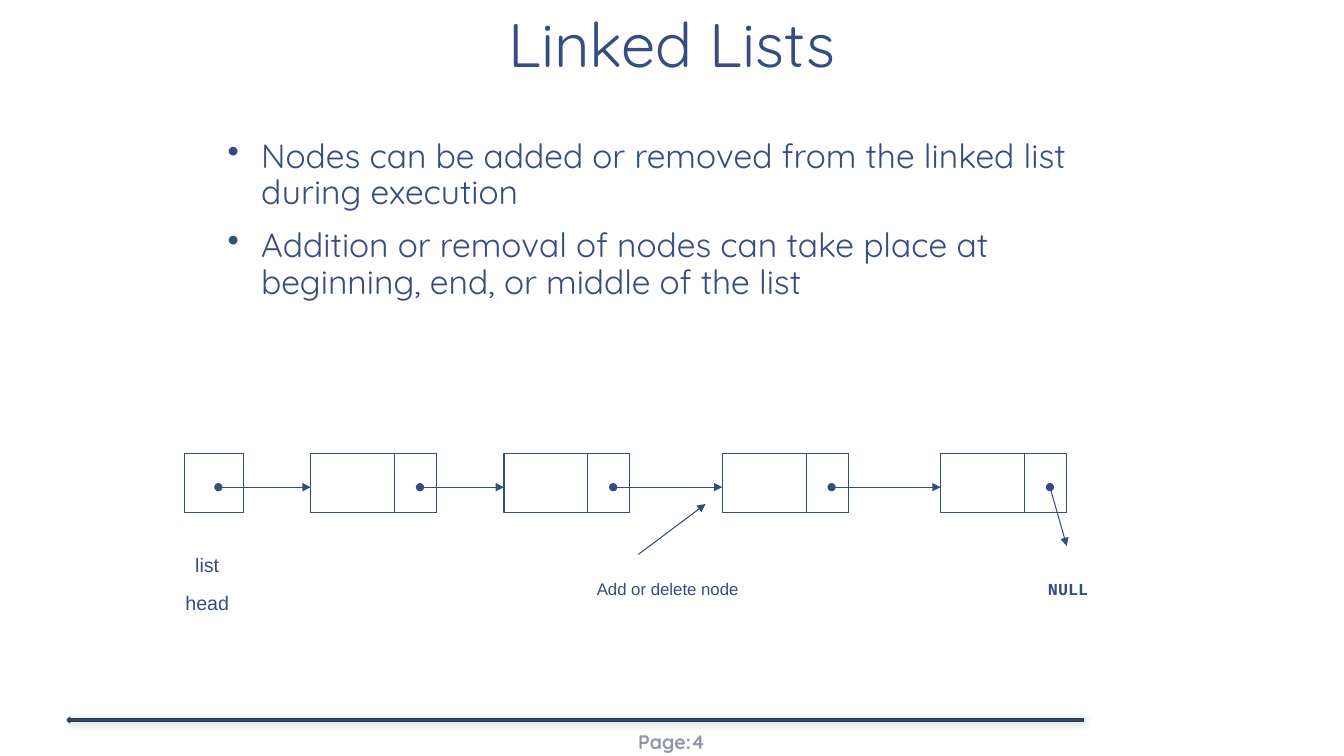
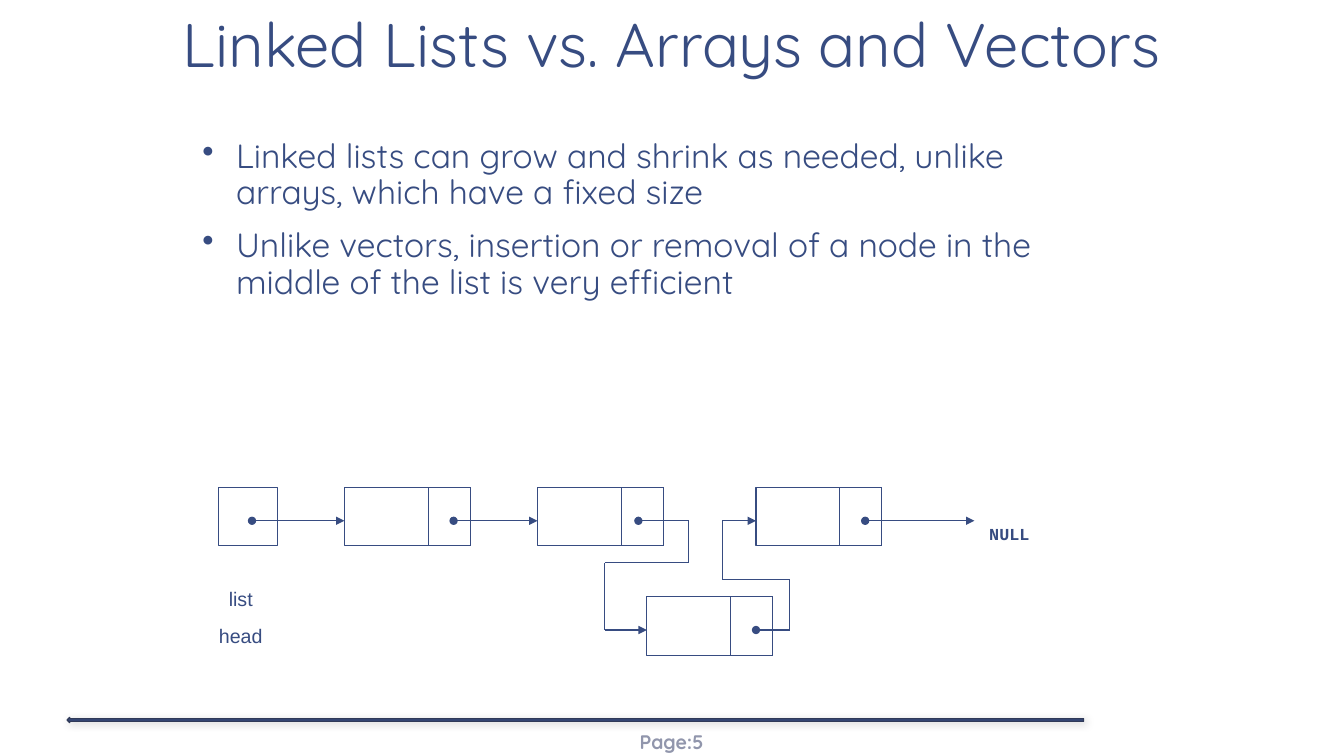
from itertools import pairwise

from lxml import etree
from pptx import Presentation
from pptx.dml.color import RGBColor
from pptx.enum.shapes import MSO_CONNECTOR, MSO_SHAPE
from pptx.enum.text import MSO_ANCHOR, PP_ALIGN
from pptx.oxml import parse_xml
from pptx.oxml.ns import nsdecls, qn
from pptx.util import Pt

STRAIGHT = MSO_CONNECTOR.STRAIGHT
RECTANGLE = MSO_SHAPE.RECTANGLE
LEFT_ARROW = MSO_SHAPE.LEFT_ARROW
LEFT, CENTER = PP_ALIGN.LEFT, PP_ALIGN.CENTER
TOP, MIDDLE, BOTTOM = MSO_ANCHOR.TOP, MSO_ANCHOR.MIDDLE, MSO_ANCHOR.BOTTOM

BLUE = RGBColor(0x37, 0x4C, 0x81)
NAVY = RGBColor(0x30, 0x3A, 0x58)
GRAY = RGBColor(0x91, 0x96, 0xAC)

NODE_WIDTH, NODE_HEIGHT = 90, 42
DATA_WIDTH = 60
POINTER_X, POINTER_Y = 78, 24

SHADOW = (
    f'<a:effectLst {nsdecls("a")}><a:outerShdw blurRad="76200" dist="12700" '
    'dir="2700000"><a:srgbClr val="000000"><a:alpha val="20000"/></a:srgbClr>'
    '</a:outerShdw></a:effectLst>'
)

SLIDES = [
    {
        "page": 4,
        "title": "Linked Lists",
        "body": (155.5, 624),
        "bullets": [
            "Nodes can be added or removed from the linked list during execution",
            "Addition or removal of nodes can take place at beginning, end, or middle of the list",
        ],
        "head": (132, 324),
        "nodes": [(222, 324), (360, 324), (516, 324), (672, 324)],
        "links": [
            [(156, 348), (222, 348)],
            [(300, 348), (360, 348)],
            [(438, 348), (516, 348)],
            [(594, 348), (672, 348)],
            [(750, 348), (762, 390)],
        ],
        "pointers": [[(456, 396), (504, 360)]],
        "labels": [
            ("NULL", 763, 410, "Courier New", True),
            ("Add or delete node", 477, 410, "Arial", False),
        ],
    },
    {
        "page": 5,
        "title": "Linked Lists vs. Arrays and Vectors",
        "body": (137.5, 653),
        "bullets": [
            "Linked lists can grow and shrink as needed, unlike arrays, which have a fixed size",
            "Unlike vectors, insertion or removal of a node in the middle of the list is very efficient",
        ],
        "head": (156, 348),
        "nodes": [(246, 348), (384, 348), (540, 348), (462, 426)],
        "links": [
            [(180, 372), (246, 372)],
            [(324, 372), (384, 372)],
            [(618, 372), (696, 372)],
            [(456, 372), (492, 372), (492, 402), (432, 402), (432, 450), (462, 450)],
            [(540, 450), (564, 450), (564, 414), (516, 414), (516, 372), (540, 372)],
        ],
        "pointers": [],
        "labels": [("NULL", 721, 370.5, "Courier New", True)],
    },
]

deck = Presentation()
deck.slide_width, deck.slide_height = Pt(960), Pt(540)


def add_text(page, lines, left, top, width, height, *, size, font="Quicksand", color=BLUE,
             bold=False, align=CENTER, anchor=TOP, insets=(7.2, 3.6), spacing=1.0, gap=0,
             bullet=False):
    box = page.shapes.add_textbox(Pt(left), Pt(top), Pt(width), Pt(height))
    frame = box.text_frame
    frame.word_wrap = True
    frame.vertical_anchor = anchor
    frame.margin_left = frame.margin_right = Pt(insets[0])
    frame.margin_top = frame.margin_bottom = Pt(insets[1])
    for index, line in enumerate(lines):
        para = frame.add_paragraph() if index else frame.paragraphs[0]
        para.alignment = align
        para.line_spacing = spacing
        if index:
            para.space_before = Pt(gap)
        if bullet:
            properties = para._p.get_or_add_pPr()
            properties.set("marL", str(Pt(24)))
            properties.set("indent", str(Pt(-24)))
            etree.SubElement(properties, qn("a:buChar")).set("char", "•")
        span = para.add_run()
        span.text = line
        span.font.name = font
        span.font.size = Pt(size)
        span.font.bold = bold
        span.font.color.rgb = color


def add_line(page, start, end, head="none", tail="none"):
    line = page.shapes.add_connector(STRAIGHT, *(Pt(value) for value in start + end))
    line.line.color.rgb = BLUE
    line.line.width = Pt(0.75)
    outline = line.line._get_or_add_ln()
    etree.SubElement(outline, qn("a:headEnd")).set("type", head)
    etree.SubElement(outline, qn("a:tailEnd")).set("type", tail)
    etree.SubElement(line._element.spPr, qn("a:effectLst"))


for content in SLIDES:
    page = deck.slides.add_slide(deck.slide_layouts[6])

    add_text(page, [f"Page:{content['page']}"], 416, 515.5, 127.5, 29, size=14, color=GRAY,
             bold=True, anchor=MIDDLE, insets=(3, 1.5))
    rule = page.shapes.add_shape(LEFT_ARROW, Pt(48), Pt(512.5), Pt(726), Pt(3.6))
    rule.fill.solid()
    rule.fill.fore_color.rgb = BLUE
    rule.line.color.rgb = NAVY
    rule.line.width = Pt(1)
    rule._element.spPr.append(parse_xml(SHADOW))

    add_text(page, [content["title"]], 0, 0, 960, 62, size=44, anchor=BOTTOM,
             insets=(9.5, 5), spacing=0.85)
    body_left, body_width = content["body"]
    add_text(page, content["bullets"], body_left, 96, body_width, 240, size=24, align=LEFT,
             spacing=0.9, gap=12, bullet=True)

    head_left, head_top = content["head"]
    cells = [(head_left, head_top, NODE_HEIGHT)]
    for left, top in content["nodes"]:
        cells.append((left, top, NODE_WIDTH))
        cells.append((left + DATA_WIDTH, top, NODE_WIDTH - DATA_WIDTH))
    for left, top, width in cells:
        cell = page.shapes.add_shape(RECTANGLE, Pt(left), Pt(top), Pt(width), Pt(NODE_HEIGHT))
        cell.shadow.inherit = False
        cell.fill.background()
        cell.line.color.rgb = BLUE
        cell.line.width = Pt(0.75)

    for link in content["links"]:
        for start, end in pairwise(link):
            add_line(page, start, end,
                     head="oval" if start == link[0] else "none",
                     tail="triangle" if end == link[-1] else "none")
    for start, end in content["pointers"]:
        add_line(page, start, end, tail="triangle")

    add_text(page, ["list", "head"], head_left - 18, head_top + 67.5, 68, 54, size=14,
             font="Arial", gap=10)
    for label, center, top, font, bold in content["labels"]:
        add_text(page, [label], center - 75, top, 150, 24, size=12, font=font, bold=bold)

deck.save("out.pptx")
